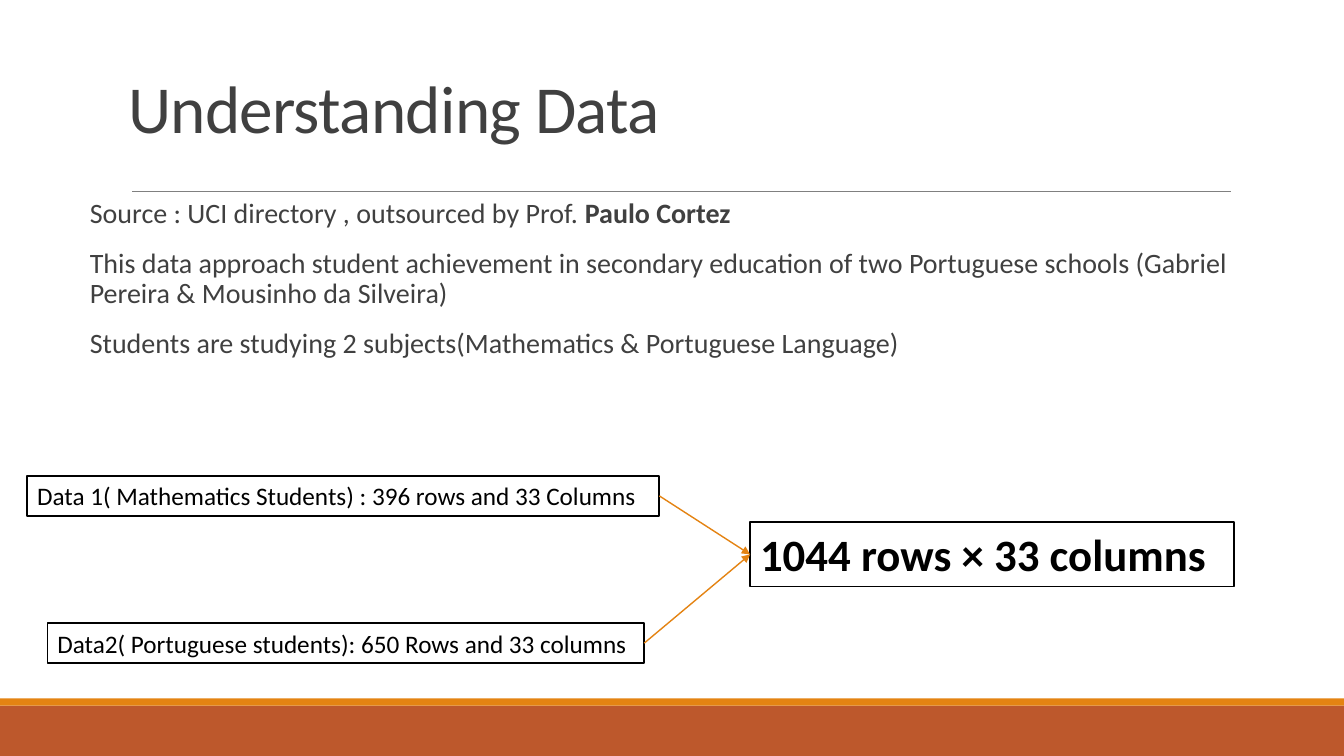
"""Build the slide on the two student data sets and their merged size."""
from lxml import etree
from pptx import Presentation
from pptx.dml.color import RGBColor
from pptx.enum.shapes import MSO_CONNECTOR, MSO_SHAPE
from pptx.enum.text import MSO_ANCHOR, MSO_AUTO_SIZE, PP_ALIGN
from pptx.oxml.ns import qn
from pptx.util import Inches, Pt

RECT, LINE = MSO_SHAPE.RECTANGLE, MSO_CONNECTOR.STRAIGHT
TOP, BOTTOM, LEFT = MSO_ANCHOR.TOP, MSO_ANCHOR.BOTTOM, PP_ALIGN.LEFT
FIXED, GROW = MSO_AUTO_SIZE.NONE, MSO_AUTO_SIZE.SHAPE_TO_FIT_TEXT
ORANGE = RGBColor(0xE4, 0x83, 0x12)
RUST = RGBColor(0xBD, 0x58, 0x2C)
DARK = RGBColor(0x40, 0x40, 0x40)
GRAY = RGBColor(0x80, 0x80, 0x80)
BLACK = RGBColor(0, 0, 0)
WHITE = RGBColor(0xFF, 0xFF, 0xFF)


def write(par, text, size, color, bold=False):
    run = par.add_run()
    run.text = text
    run.font.color.rgb = color
    form = {"name": "Calibri", "size": Pt(size), "bold": bold}
    for key, val in form.items():
        setattr(run.font, key, val)
    return run


def link(color, width):
    line = slide.shapes.add_connector(LINE, 0, 0, 0, 0)
    line.line.color.rgb = color
    line.line.width = Pt(width)
    etree.SubElement(line._element.spPr, qn("a:effectLst"))
    return line


deck = Presentation()
deck.slide_width, deck.slide_height = Inches(13.33), Inches(7.5)
slide = deck.slides.add_slide(deck.slide_layouts[1])
title, body = slide.placeholders

for top, height, color in [(7, 0.5, RUST), (6.93, 0.07, ORANGE)]:
    band = slide.shapes.add_shape(
        RECT, 0, Inches(top), deck.slide_width, Inches(height))
    band.shadow.inherit = False
    band.fill.solid()
    band.fill.fore_color.rgb = color
    band.line.fill.background()

rule = link(GRAY, 0.5)
ends = {"begin_x": 1.31, "begin_y": 1.9, "end_x": 12.21, "end_y": 1.9}
for key, val in ends.items():
    setattr(rule, key, Inches(val))

places = [
    (title, (1.17, -0.08, 11, 1.59), BOTTOM, 0.1),
    (body, (0.79, 1.93, 11.5, 1.98), TOP, 0),
]
for holder, place, anchor, inset in places:
    for key, val in zip(("left", "top", "width", "height"), place):
        setattr(holder, key, Inches(val))
    form = {"auto_size": FIXED, "word_wrap": True, "vertical_anchor": anchor,
            "margin_left": Inches(inset), "margin_right": Inches(inset)}
    for key, val in form.items():
        setattr(holder.text_frame, key, val)

head = title.text_frame.paragraphs[0]
head.alignment, head.line_spacing = LEFT, 0.85
name = write(head, "Understanding Data", 48, DARK)
name.font._element.set("spc", "-50")

facts = [
    [("Source : UCI directory , outsourced by Prof. ", False),
     ("Paulo Cortez", True)],
    [("This data approach student achievement in secondary education of two "
      "Portuguese schools (Gabriel Pereira & Mousinho da Silveira)", False)],
    [("Students are studying 2 subjects(Mathematics & Portuguese Language)",
      False)],
]
frame = body.text_frame
for i, fact in enumerate(facts):
    par = frame.add_paragraph() if i else frame.paragraphs[0]
    form = {"line_spacing": 0.9, "space_before": Pt(12), "space_after": Pt(2)}
    for key, val in form.items():
        setattr(par, key, val)
    props = par._p.get_or_add_pPr()
    props.set("marL", str(Inches(0.1)))
    props.set("indent", "0")
    etree.SubElement(props, qn("a:buNone"))
    for text, bold in fact:
        write(par, text, 20, DARK, bold)

cards = [
    ("1044 rows × 33 columns", (7.44, 5.18, 4.8, 0.64), 32, True),
    ("Data 1( Mathematics Students) : 396 rows and 33 Columns",
     (0.27, 4.72, 6.27, 0.4), 18, False),
    ("Data2( Portuguese students): 650 Rows and 33 columns",
     (0.47, 6.18, 5.92, 0.4), 18, False),
]
boxes = []
for text, place, size, total in cards:
    box = slide.shapes.add_textbox(*map(Inches, place))
    box.fill.solid()
    box.fill.fore_color.rgb = WHITE
    box.line.color.rgb = BLACK
    box.line.width = Pt(1.25)
    box.text_frame.word_wrap = total
    box.text_frame.auto_size = GROW
    write(box.text_frame.paragraphs[0], text, size, BLACK, total)
    boxes.append(box)

goal, *parts = boxes
for part in parts:
    arrow = link(ORANGE, 1)
    arrow.begin_connect(part, 3)
    arrow.end_connect(goal, 1)
    etree.SubElement(arrow.line._get_or_add_ln(), qn("a:tailEnd"),
                     type="triangle")

deck.save("out.pptx")
